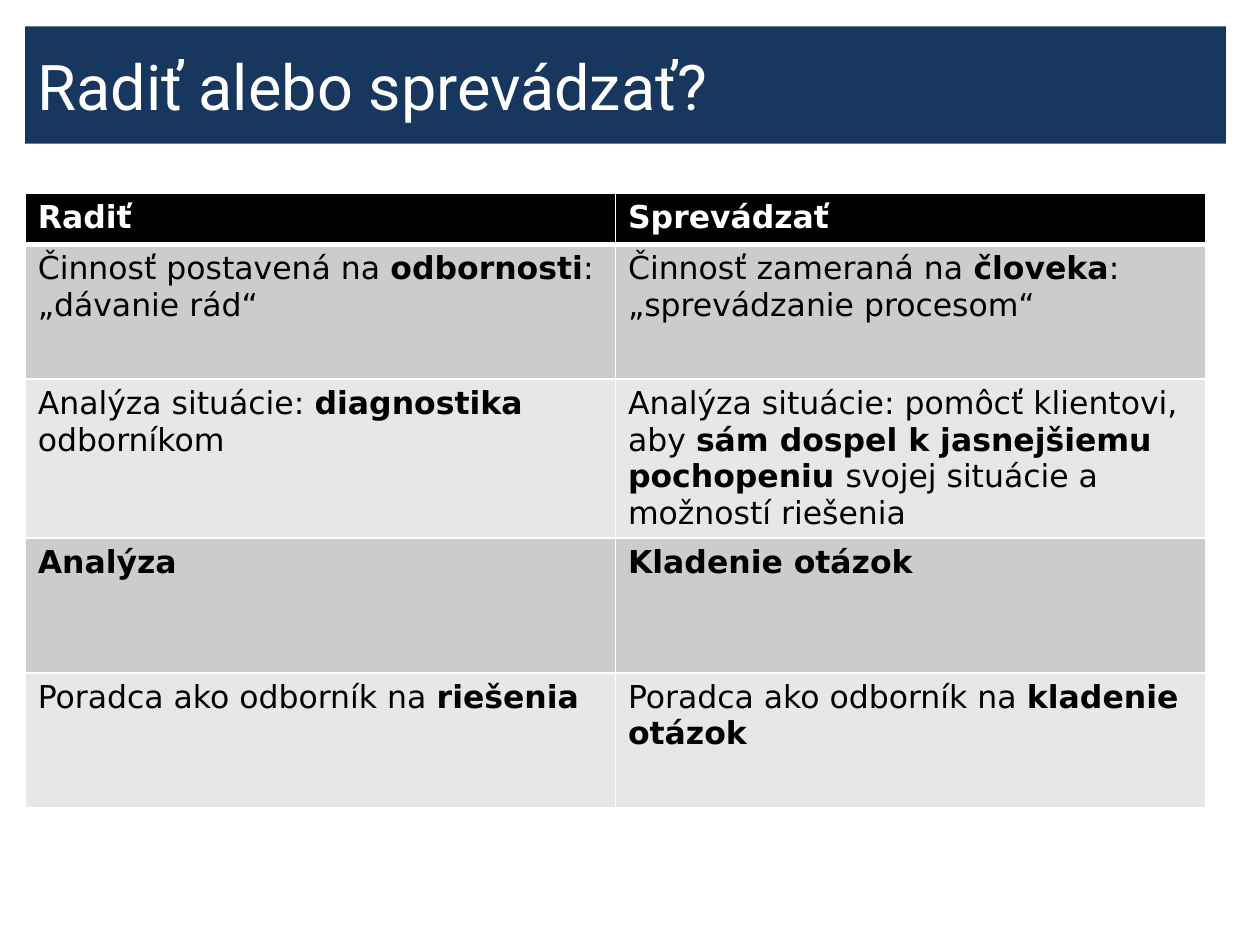
from lxml import etree
from pptx import Presentation
from pptx import util as u
from pptx.dml.color import RGBColor
from pptx.enum import shapes, text
from pptx.oxml.ns import qn

NAVY = RGBColor(0x17, 0x37, 0x5E)
WHITE = RGBColor(0xFF, 0xFF, 0xFF)
BLACK = RGBColor(0x00, 0x00, 0x00)
BANDS = [RGBColor(0xE7, 0xE7, 0xE7), RGBColor(0xCC, 0xCC, 0xCC)]

LEFT = 0.2
TABLE_TOP, TABLE_WIDTH = 1.53, 9.37
HEADER_HEIGHT, ROW_HEIGHT = 0.41, 1.07

# Text between ** marks is bold
ROWS = [
    ("**Radiť**", "**Sprevádzať**"),
    ("Činnosť postavená na **odbornosti**: „dávanie rád“",
     "Činnosť zameraná na **človeka**: „sprevádzanie procesom“"),
    ("Analýza situácie: **diagnostika** odborníkom",
     "Analýza situácie: pomôcť klientovi, aby **sám dospel k jasnejšiemu "
     "pochopeniu **svojej situácie a možností riešenia"),
    ("**Analýza**", "**Kladenie otázok**"),
    ("Poradca ako odborník na **riešenia**",
     "Poradca ako odborník na **kladenie otázok**"),
]


def add_run(p, words, font, size, color, bold=False):
    r = p.add_run()
    r.text = words
    r.font.name, r.font.size, r.font.bold = font, u.Pt(size), bold
    r.font.color.rgb = color


def add_title(s, words):
    sp = s.shapes.add_shape(shapes.MSO_SHAPE.RECTANGLE, u.Inches(LEFT),
                            u.Inches(0.21), u.Inches(9.53), u.Inches(0.93))
    sp.shadow.inherit = False
    sp.fill.solid()
    sp.fill.fore_color.rgb = NAVY
    sp.line.fill.background()
    tf = sp.text_frame
    tf.vertical_anchor = text.MSO_ANCHOR.MIDDLE
    p = tf.paragraphs[0]
    p.alignment = text.PP_ALIGN.LEFT
    add_run(p, words, "Roboto", 36, WHITE)


def set_borders(cell, widths):
    """Draw white borders; widths are points for left, right, top, bottom."""
    tc_pr = cell._tc.get_or_add_tcPr()
    for i, (side, width) in enumerate(zip("LRTB", widths)):
        ln = etree.Element(qn(f"a:ln{side}"), w=str(u.Pt(width)))
        fill = etree.SubElement(ln, qn("a:solidFill"))
        etree.SubElement(fill, qn("a:srgbClr"), val=str(WHITE))
        tc_pr.insert(i, ln)


def fill_cell(cell, words, fill, color, widths):
    cell.fill.solid()
    cell.fill.fore_color.rgb = fill
    set_borders(cell, widths)
    p = cell.text_frame.paragraphs[0]
    for i, part in enumerate(words.split("**")):
        if part:
            add_run(p, part, "DejaVu Sans", 18, color, bold=i % 2 == 1)


def add_comparison(s, rows):
    height = HEADER_HEIGHT + ROW_HEIGHT * (len(rows) - 1)
    table = s.shapes.add_table(len(rows), len(rows[0]), u.Inches(LEFT),
                               u.Inches(TABLE_TOP), u.Inches(TABLE_WIDTH),
                               u.Inches(height)).table
    for i, row in enumerate(rows):
        header = i == 0
        table.rows[i].height = u.Inches(HEADER_HEIGHT if header else ROW_HEIGHT)
        fill, color = (BLACK, WHITE) if header else (BANDS[i % 2], BLACK)
        # The line under the header is thicker than the others
        widths = (1, 1, 3 if i == 1 else 1, 3 if header else 1)
        for j, words in enumerate(row):
            fill_cell(table.cell(i, j), words, fill, color, widths)


def main():
    prs = Presentation()
    prs.slide_width, prs.slide_height = u.Inches(10), u.Inches(7.5)
    s = prs.slides.add_slide(prs.slide_layouts[6])
    add_title(s, "Radiť alebo sprevádzať?")
    add_comparison(s, ROWS)
    prs.save("out.pptx")


if __name__ == "__main__":
    main()
